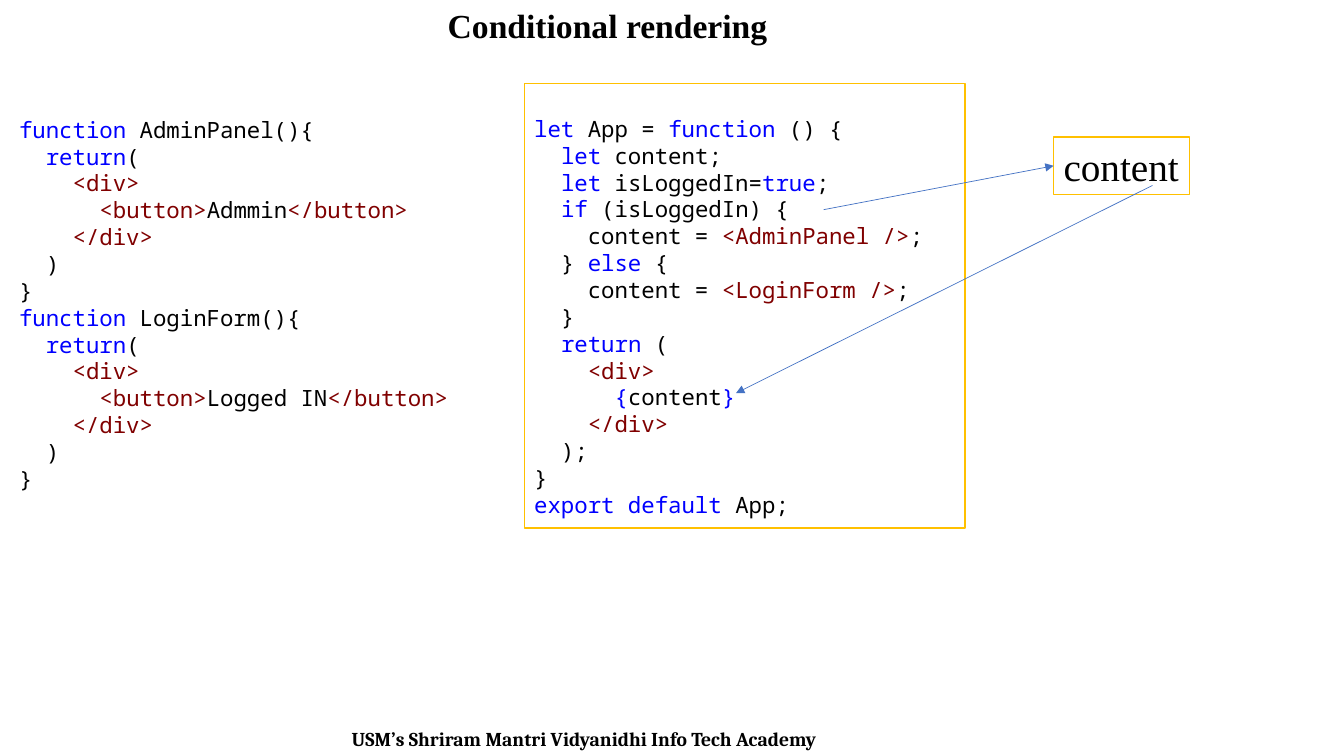
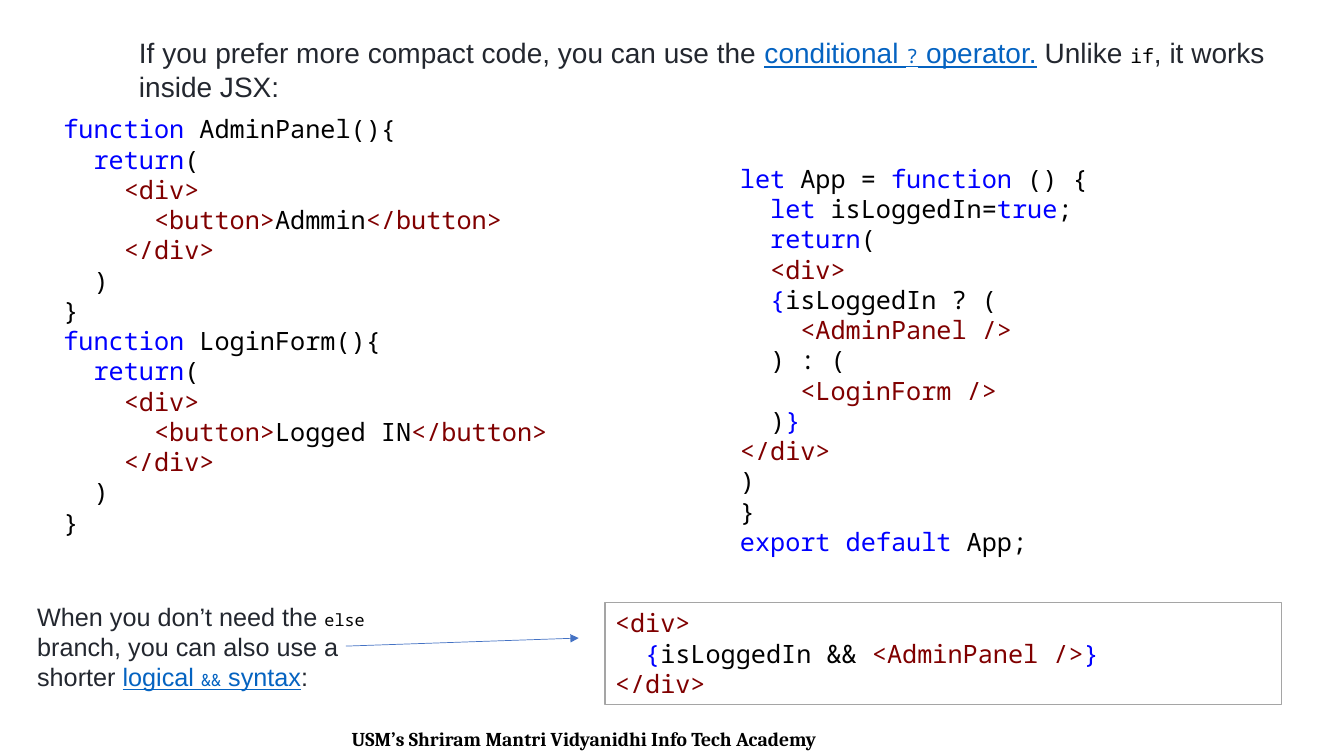
from pptx import Presentation
from pptx.dml.color import RGBColor
from pptx.enum.shapes import MSO_CONNECTOR, MSO_SHAPE
from pptx.enum.text import MSO_ANCHOR, MSO_AUTO_SIZE, PP_ALIGN
from pptx.oxml.ns import qn
from pptx.util import Inches, Pt
from lxml import etree

STRAIGHT = MSO_CONNECTOR.STRAIGHT
RECT = MSO_SHAPE.RECTANGLE
TOP, MIDDLE = MSO_ANCHOR.TOP, MSO_ANCHOR.MIDDLE
FIXED = MSO_AUTO_SIZE.NONE
LEFT, CENTER = PP_ALIGN.LEFT, PP_ALIGN.CENTER
TITLED, BLANK = 5, 6

COLORS = {
    "black": "000000",
    "white": "FFFFFF",
    "blue": "0000FF",
    "maroon": "800000",
    "slate": "23272F",
    "link": "0563C1",
    "gold": "FFC000",
    "gray": "A5A5A5",
    "arrow": "4472C4",
}
MONO, SANS, SERIF, FOOT = "Noto Sans Mono", "Arial", "Times New Roman", "Cambria"
STYLES = {
    "code": (MONO, "black", {}),
    "key": (MONO, "blue", {}),
    "tag": (MONO, "maroon", {}),
    "prose": (SANS, "slate", {}),
    "link": (SANS, "link", {"underline": True}),
    "tick": (MONO, "black", {}),
    "linktick": (MONO, "link", {"underline": True}),
    "head": (SERIF, "black", {"bold": True}),
    "label": (SERIF, "black", {}),
    "foot": (FOOT, "black", {"bold": True}),
}


def color(name):
    return RGBColor.from_string(COLORS[name])


def code(text):
    return text, "code"


def key(text):
    return text, "key"


def tag(text):
    return text, "tag"


def write(frame, lines, size, small=None, align=LEFT, anchor=TOP, top=0.05, wrap=True):
    frame.auto_size = FIXED
    frame.word_wrap = wrap
    frame.vertical_anchor = anchor
    frame.margin_left = frame.margin_right = Inches(0.1)
    frame.margin_top, frame.margin_bottom = Inches(top), Inches(0.05)
    for i, line in enumerate(lines):
        para = frame.add_paragraph() if i else frame.paragraphs[0]
        para.alignment = align
        for text, style in line:
            face, tint, marks = STYLES[style]
            run = para.add_run()
            run.text = text
            run.font.name = face
            run.font.size = Pt(small if style in ("tick", "linktick") else size)
            run.font.color.rgb = color(tint)
            for mark, value in marks.items():
                setattr(run.font, mark, value)


def area(slide, box, lines, size, **opts):
    shape = slide.shapes.add_textbox(*map(Inches, box))
    write(shape.text_frame, lines, size, **opts)


def panel(slide, box, edge, lines, size, **opts):
    shape = slide.shapes.add_shape(RECT, *map(Inches, box))
    shape.shadow.inherit = False
    shape.fill.solid()
    shape.fill.fore_color.rgb = color("white")
    if edge:
        shape.line.color.rgb = color(edge)
        shape.line.width = Pt(1)
    else:
        shape.line.fill.background()
    write(shape.text_frame, lines, size, **opts)
    return shape


def title(slide, box, lines, size):
    shape = slide.shapes.title
    shape.left, shape.top, shape.width, shape.height = map(Inches, box)
    write(shape.text_frame, lines, size)


def arrow(slide, start, end):
    line = slide.shapes.add_connector(STRAIGHT, *map(Inches, start + end))
    line.line.color.rgb = color("arrow")
    line.line.width = Pt(0.5)
    props = line._element.spPr
    etree.SubElement(props.find(qn("a:ln")), qn("a:tailEnd"), type="triangle")
    etree.SubElement(props, qn("a:effectLst"))
    return line


def start(deck, layout):
    slide = deck.slides.add_slide(deck.slide_layouts[layout])
    text = "USM’s Shriram Mantri Vidyanidhi Info Tech Academy"
    area(slide, (1.26, 7.16, 9.07, 0.34), [[(text, "foot")]], 14, align=CENTER)
    return slide


def part(name, label):
    return [
        [key("function "), code(name + "(){")],
        [code("  "), key("return"), code("(")],
        [code("    "), tag("<div>")],
        [code("      "), tag("<button>"), code(label), tag("</button>")],
        [code("    "), tag("</div>")],
        [code("  )")],
        [code("}")],
    ]


PARTS = part("AdminPanel", "Admmin") + part("LoginForm", "Logged IN")
OPEN = [key("let"), code(" App = "), key("function"), code(" () {")]
FLAG = [code("  "), key("let "), code("isLoggedIn="), key("true"), code(";")]
LAST = [[code("}")], [key("export default"), code(" App;")]]
BRANCH = [
    OPEN,
    [code("  "), key("let"), code(" content;")],
    FLAG,
    [code("  "), key("if"), code(" (isLoggedIn) {")],
    [code("    content = "), tag("<AdminPanel />"), code(";")],
    [code("  } "), key("else"), code(" {")],
    [code("    content = "), tag("<LoginForm />"), code(";")],
    [code("  }")],
    [code("  "), key("return"), code(" (")],
    [code("    "), tag("<div>")],
    [code("      "), key("{"), code("content"), key("}")],
    [code("    "), tag("</div>")],
    [code("  );")],
] + LAST
TERNARY = [
    OPEN,
    FLAG,
    [code("  "), key("return"), code("(")],
    [code("  "), tag("<div>")],
    [code("  "), key("{"), code("isLoggedIn ? (")],
    [code("    "), tag("<AdminPanel />")],
    [code("  ) : (")],
    [code("    "), tag("<LoginForm />")],
    [code("  )"), key("}")],
    [tag("</div>")],
    [code(")")],
] + LAST
SHORT = [
    [tag("<div>")],
    [code("  "), key("{"), code("isLoggedIn && "), tag("<AdminPanel />"), key("}")],
    [tag("</div>")],
]
INTRO = [[
    ("If you prefer more compact code, you can use the ", "prose"),
    ("conditional ", "link"),
    ("?", "linktick"),
    (" operator.", "link"),
    (" Unlike ", "prose"),
    ("if", "tick"),
    (", it works inside JSX:", "prose"),
]]
HINT = [[
    ("When you don’t need the ", "prose"),
    ("else", "tick"),
    (" branch, you can also use a shorter ", "prose"),
    ("logical ", "link"),
    ("&&", "linktick"),
    (" syntax", "link"),
    (":", "prose"),
]]


def branching(deck):
    slide = start(deck, TITLED)
    title(slide, (4.34, 0, 5.57, 0.5), [[("Conditional rendering", "head")]], 24)
    area(slide, (0.09, 1.1, 4.88, 3.87), PARTS, 16)
    panel(slide, (5.2, 0.83, 4.37, 4.41), "gold", BRANCH, 16, top=0.31)
    label = [[("content", "label")]]
    value = panel(slide, (10.45, 1.36, 1.35, 0.57), "gold", label, 28, wrap=False)
    arrow(slide, (11.43, 1.84), (7.3, 3.9))
    arrow(slide, (8.17, 2.08), (10.45, 1.64)).end_connect(value, 1)


def compact(deck):
    slide = start(deck, BLANK)
    panel(slide, (1.28, 0.47, 11.91, 0.44), None, INTRO, 20, small=14, anchor=MIDDLE)
    area(slide, (0.53, 1.08, 6.71, 4.34), PARTS, 18)
    area(slide, (7.24, 1.27, 5.57, 4.34), TERNARY, 18, top=0.35)
    panel(slide, (0.27, 5.91, 3.62, 1.01), None, HINT, 18, small=12, anchor=MIDDLE)
    panel(slide, (6, 5.98, 6.71, 1.01), "gray", SHORT, 18)
    arrow(slide, (3.43, 6.41), (5.74, 6.33))


def main():
    deck = Presentation()
    deck.slide_width, deck.slide_height = Inches(13.33), Inches(7.5)
    branching(deck)
    compact(deck)
    deck.save("out.pptx")


if __name__ == "__main__":
    main()
